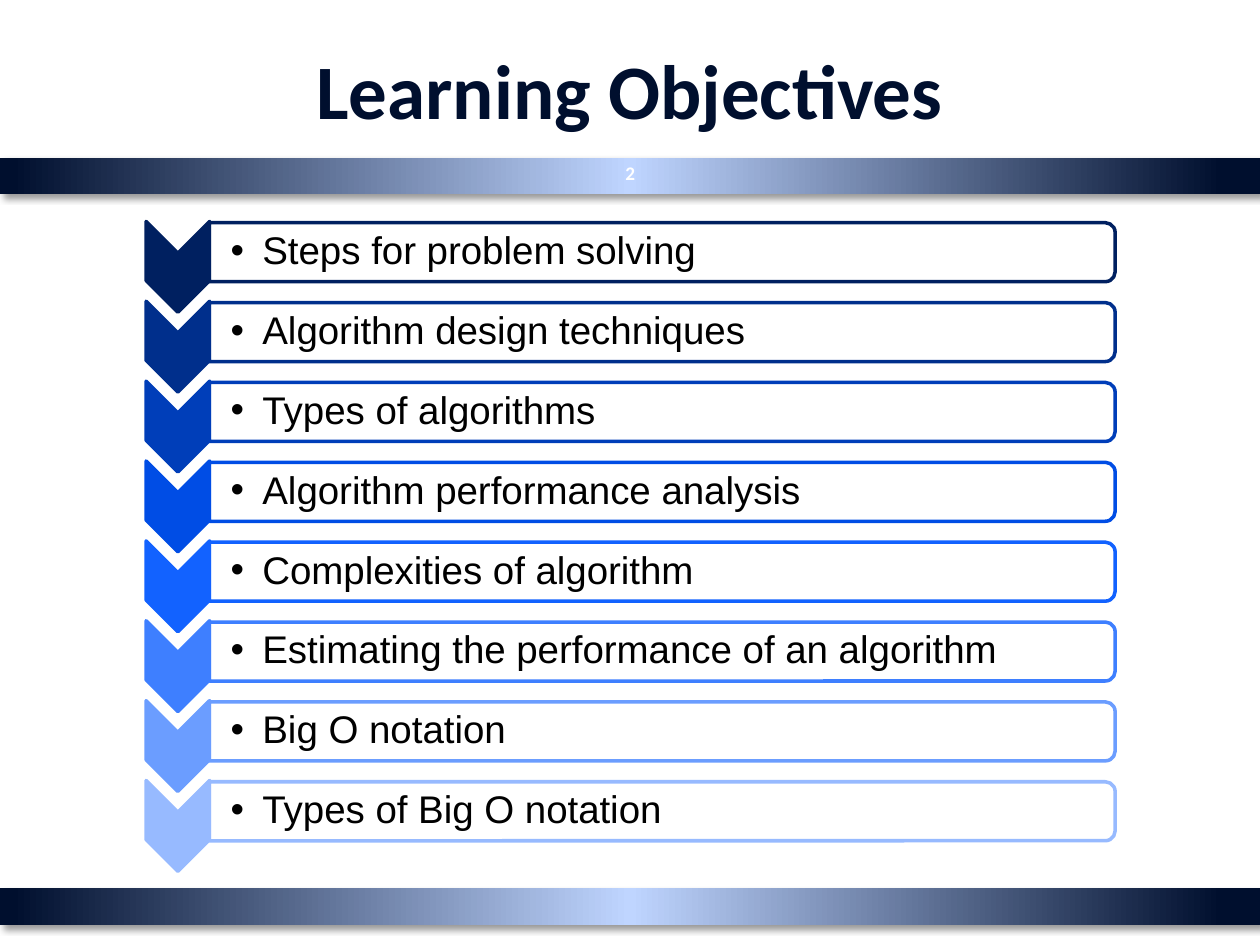
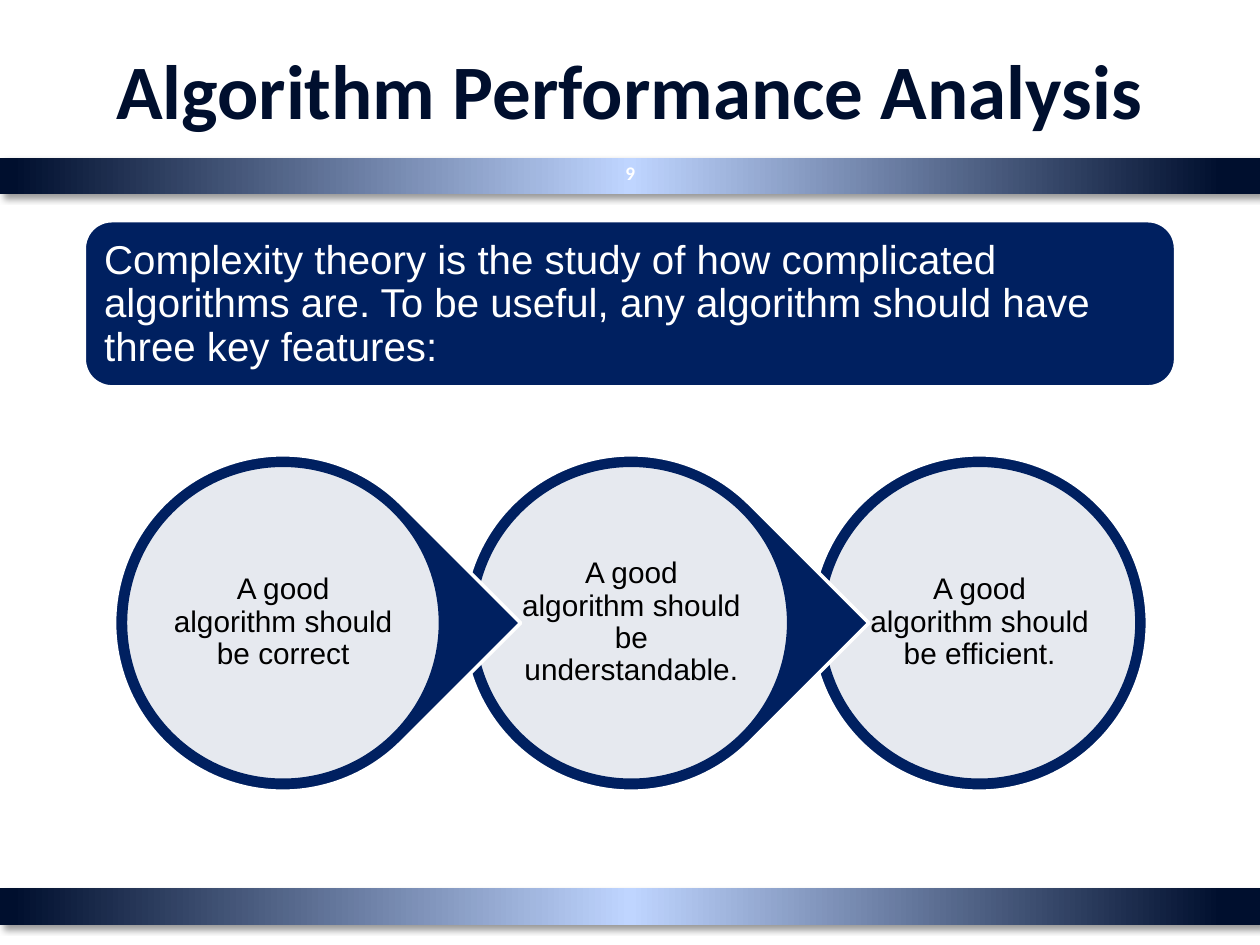
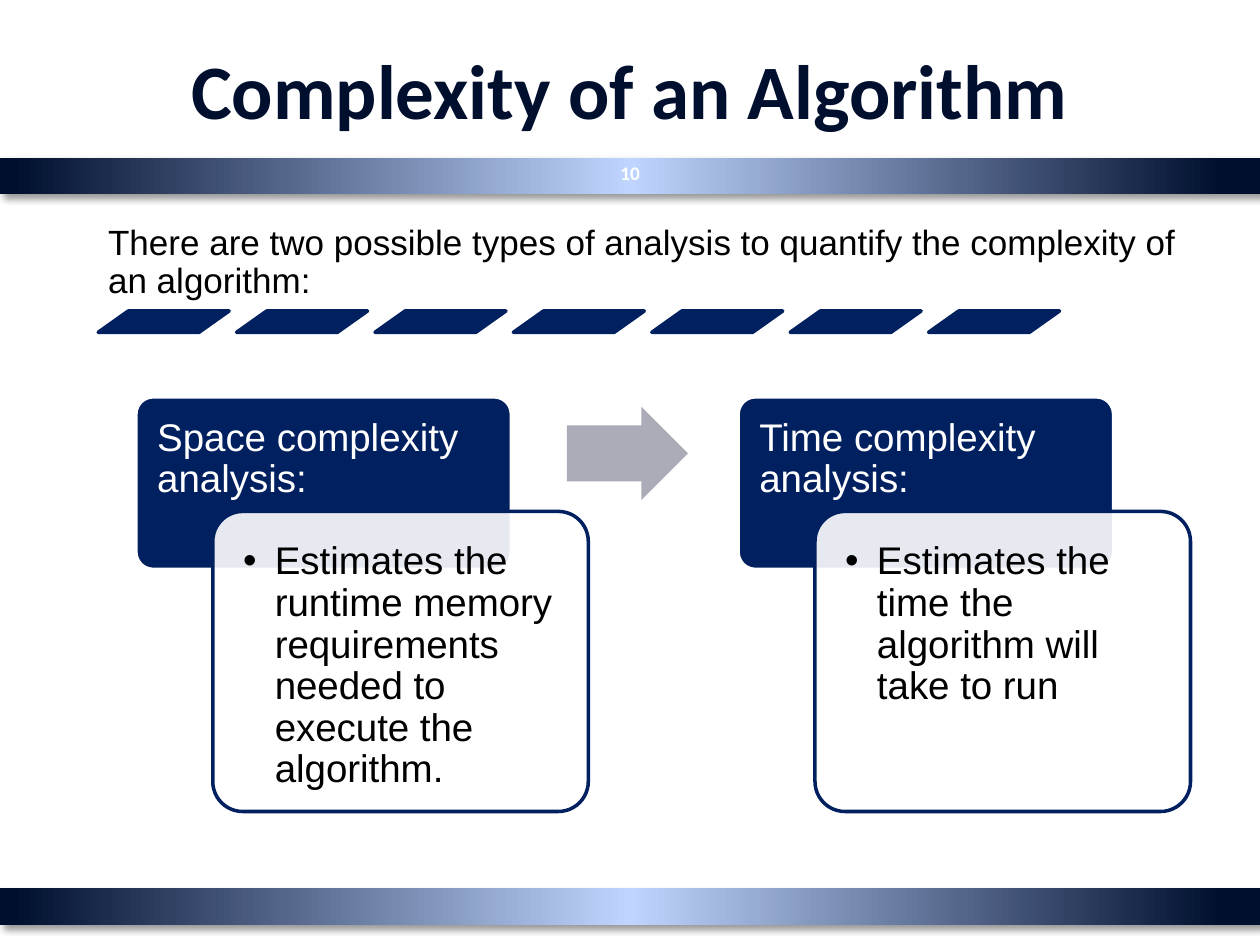
import pptx
import pptx.dml.color
import pptx.enum.shapes
import pptx.enum.text
import pptx.oxml.ns
import pptx.util
from lxml import etree

Cm = pptx.util.Cm
Pt = pptx.util.Pt
RGBColor = pptx.dml.color.RGBColor
SHAPE = pptx.enum.shapes.MSO_SHAPE
ALIGN = pptx.enum.text.PP_ALIGN
ANCHOR = pptx.enum.text.MSO_ANCHOR
qn = pptx.oxml.ns.qn

INK = RGBColor(0x00, 0x0F, 0x2E)
GLOW = RGBColor(0xBF, 0xD5, 0xFF)
NAVY = RGBColor(0x00, 0x20, 0x60)
GREY = RGBColor(0xAB, 0xAC, 0xB7)
WHITE = RGBColor(0xFF, 0xFF, 0xFF)
BLACK = RGBColor(0x00, 0x00, 0x00)
BLUES = [NAVY] + [RGBColor.from_string(code) for code in (
    "002F8C", "003EB9", "004DE5", "1262FF", "3E7FFF", "6B9DFF", "97BAFF")]

PAGE_WIDTH, PAGE_HEIGHT = 25.4, 19.05
BAND_STOPS = [(0, INK), (3, INK), (50, GLOW), (99, INK), (100, INK)]


def add_xml(parent, tag, **attributes):
    """Append a drawing element with the given attributes."""
    values = {name: str(value) for name, value in attributes.items()}
    return etree.SubElement(parent, qn(tag), values)


class Lesson:
    """The lesson's style and its current page; lengths are centimetres."""

    def __init__(self):
        """Open an empty deck of the right size."""
        self.deck = pptx.Presentation()
        self.deck.slide_width = Cm(PAGE_WIDTH)
        self.deck.slide_height = Cm(PAGE_HEIGHT)
        self.page = None

    def start_page(self, title, number):
        """Add a page with its two bands, title and number."""
        self.page = self.deck.slides.add_slide(self.deck.slide_layouts[6])
        for top in (17.91, 3.18):
            self.band(top)
        self.text(title, 1.27, 0.2, 22.86, 3.18, size=44, color=INK,
                  font="Calibri", bold=True, align=ALIGN.CENTER,
                  insets=(0.25, 0.13, 0.25, 0.13), spacing=1)
        self.text(str(number), 12.17, 2.97, 1.07, 1.02, size=11, color=WHITE,
                  font="Calibri", bold=True, align=ALIGN.CENTER,
                  insets=(0.25, 0.13, 0.25, 0.13), spacing=1)

    def shape(self, kind, left, top, width, height, fill=NAVY, line=None,
              rotation=0, adjust=(), opacity=100):
        """Draw a preset shape with a flat fill and an optional outline."""
        shape = self.page.shapes.add_shape(
            kind, Cm(left), Cm(top), Cm(width), Cm(height))
        shape.shadow.inherit = False
        shape.rotation = rotation
        for index, value in enumerate(adjust):
            shape.adjustments[index] = value
        shape.fill.solid()
        shape.fill.fore_color.rgb = fill
        if opacity < 100:
            color = shape._element.spPr.find(qn("a:solidFill"))[0]
            add_xml(color, "a:alpha", val=opacity * 1000)
        if line is None:
            shape.line.fill.background()
        else:
            shape.line.color.rgb = line
            shape.line.width = Pt(2)
        return shape

    def band(self, top):
        """Draw a full-width gradient band with a soft shadow."""
        band = self.shape(SHAPE.RECTANGLE, 0, top, PAGE_WIDTH, 0.74)
        band.fill.gradient()
        band.fill.gradient_angle = 180
        properties = band._element.spPr
        stops = properties.find(qn("a:gradFill")).find(qn("a:gsLst"))
        for stop in list(stops):
            stops.remove(stop)
        for position, color in BAND_STOPS:
            stop = add_xml(stops, "a:gs", pos=position * 1000)
            add_xml(stop, "a:srgbClr", val=color)
        shadow = add_xml(properties.find(qn("a:effectLst")), "a:outerShdw",
                         blurRad=Pt(4), dist=Pt(3), dir=45 * 60000,
                         algn="tl", rotWithShape=0)
        color = add_xml(shadow, "a:srgbClr", val=BLACK)
        add_xml(color, "a:alpha", val=40000)

    def text(self, words, left, top, width, height, size, color=BLACK,
             font="Arial", bold=False, align=ALIGN.LEFT, anchor=ANCHOR.MIDDLE,
             insets=(0.05, 0.05, 0.05, 0.05), spacing=0.9, bullet=False):
        """Write one paragraph in a wrapping text box."""
        box = self.page.shapes.add_textbox(
            Cm(left), Cm(top), Cm(width), Cm(height))
        frame = box.text_frame
        frame.word_wrap = True
        frame.vertical_anchor = anchor
        (frame.margin_left, frame.margin_top,
         frame.margin_right, frame.margin_bottom) = map(Cm, insets)
        frame.text = words
        para = frame.paragraphs[0]
        para.alignment = align
        para.line_spacing = spacing
        if bullet:
            self.bullet(para)
        for span in para.runs:
            span.font.name = font
            span.font.size = Pt(size)
            span.font.bold = bold
            span.font.color.rgb = color

    def bullet(self, para):
        """Give a paragraph a hanging round bullet."""
        properties = para._p.get_or_add_pPr()
        indent = Cm(0.64)
        properties.set("marL", str(indent))
        properties.set("indent", str(-indent))
        color = add_xml(properties, "a:buClr")
        add_xml(color, "a:srgbClr", val=BLACK)
        add_xml(properties, "a:buFont", typeface="Arial")
        add_xml(properties, "a:buChar", char="\u2022")

    def objective(self, words, top, color):
        """Draw a downward chevron and a labelled bar rounded on its right."""
        self.shape(SHAPE.CHEVRON, 2.67, top + 0.25, 1.83, 1.28,
                   fill=color, line=color, rotation=90)
        # The bar is drawn upright and turned about its centre.
        left, length, depth = 4.22, 18.26, 1.19
        shift = (length - depth) / 2
        self.shape(SHAPE.ROUND_2_SAME_RECTANGLE, left + shift, top - shift,
                   depth, length, fill=WHITE, line=color, rotation=90,
                   opacity=90)
        self.text(words, left, top + 0.06, 18.19, 1.07, size=22,
                  insets=(0.43, 0.05, 0.05, 0.05), bullet=True)

    def feature(self, words, left, pointed):
        """Draw a ringed disc, pointed to the right when another follows."""
        top = 9.17
        self.shape(SHAPE.TEAR if pointed else SHAPE.OVAL, left, top,
                   6.78, 6.78, line=WHITE, rotation=45 if pointed else 0)
        self.shape(SHAPE.OVAL, left + 0.22, top + 0.21, 6.35, 6.35,
                   fill=WHITE, line=NAVY, opacity=90)
        self.text(words, left + 1.14, top + 1.12, 4.52, 4.52, size=17,
                  align=ALIGN.CENTER)

    def analysis(self, heading, words, left):
        """Draw a heading panel with a detail card overlapping it."""
        self.shape(SHAPE.ROUNDED_RECTANGLE, left, 8, 7.57, 3.48,
                   line=WHITE, adjust=[0.1])
        self.text(heading, left, 8, 7.57, 2.31, size=22, color=WHITE,
                  anchor=ANCHOR.TOP, insets=(0.43, 0.43, 0.43, 0.23))
        self.shape(SHAPE.ROUNDED_RECTANGLE, left + 1.55, 10.31, 7.57, 6.05,
                   fill=WHITE, line=NAVY, adjust=[0.1], opacity=90)
        self.text(words, left + 1.73, 10.49, 7.21, 5.69, size=22,
                  anchor=ANCHOR.TOP, insets=(0.43,) * 4, bullet=True)


def objectives_page(lesson):
    """List the learning objectives, dark to light."""
    lesson.start_page("Learning Objectives", 2)
    objectives = [
        "Steps for problem solving",
        "Algorithm design techniques",
        "Types of algorithms",
        "Algorithm performance analysis",
        "Complexities of algorithm",
        "Estimating the performance of an algorithm",
        "Big O notation",
        "Types of Big O notation",
    ]
    for row, (words, color) in enumerate(zip(objectives, BLUES)):
        lesson.objective(words, 4.49 + 1.61 * row, color)


def performance_page(lesson):
    """Show the three features of a good algorithm."""
    lesson.start_page("Algorithm Performance Analysis", 9)
    lesson.shape(SHAPE.ROUNDED_RECTANGLE, 1.7, 4.45, 22, 3.35, line=WHITE)
    lesson.text("Complexity theory is the study of how complicated algorithms "
                "are. To be useful, any algorithm should have three key "
                "features:", 1.85, 4.62, 21.69, 3.05, size=23, color=WHITE,
                insets=(0.25,) * 4)
    features = ["correct", "understandable.", "efficient."]
    last = len(features) - 1
    # Right to left, so that each point lies over its neighbour.
    for column in range(last, -1, -1):
        lesson.feature("A good algorithm should be " + features[column],
                       2.31 + 7.02 * column, pointed=column < last)


def complexity_page(lesson):
    """Contrast space and time analysis."""
    lesson.start_page("Complexity of an Algorithm", 10)
    lesson.text("There are two possible types of analysis to quantify the "
                "complexity of an algorithm:", 1.98, 4.67, 22, 1.6, size=20,
                anchor=ANCHOR.BOTTOM, insets=(0.2,) * 4)
    for column in range(7):
        lesson.shape(SHAPE.PARALLELOGRAM, 1.98 + 2.79 * column, 6.27,
                     2.64, 0.43, line=NAVY, adjust=[1.41])
    lesson.analysis("Space complexity analysis:",
                    "Estimates the runtime memory requirements needed to "
                    "execute the algorithm.", 2.74)
    lesson.shape(SHAPE.RIGHT_ARROW, 11.43, 8.2, 2.44, 1.88, fill=GREY,
                 adjust=[0.6, 0.5])
    lesson.analysis("Time complexity analysis:",
                    "Estimates the time the algorithm will take to run", 14.88)


def main():
    """Build the lesson and save it."""
    lesson = Lesson()
    objectives_page(lesson)
    performance_page(lesson)
    complexity_page(lesson)
    lesson.deck.save("out.pptx")


main()
